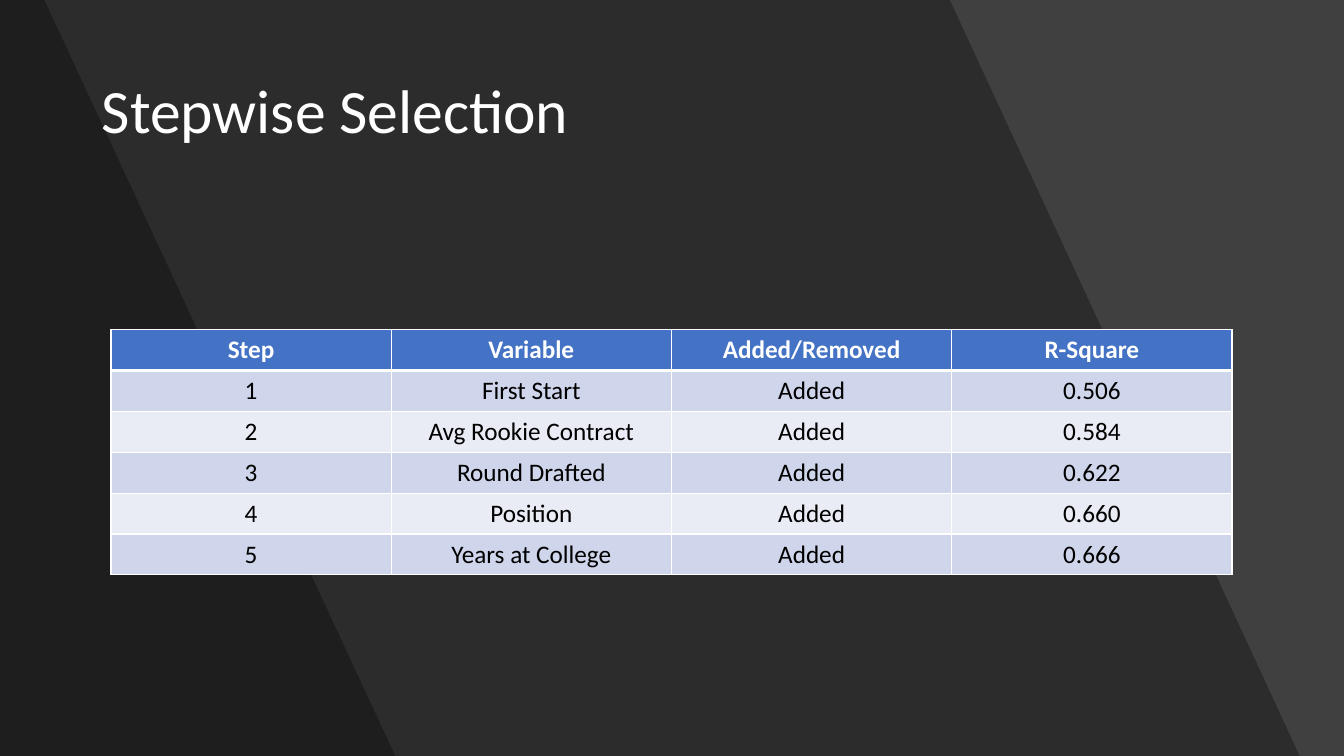
from dataclasses import dataclass

from lxml import etree
from pptx import Presentation
from pptx import util as u
from pptx.dml.color import RGBColor
from pptx.enum import text
from pptx.oxml import ns

FONT = "Calibri"
HUES = {
    "back": "404040",
    "shade": "000000",
    "ink": "000000",
    "white": "FFFFFF",
    "head": "4472C4",
    "odd": "CFD5EA",
    "even": "E9EBF5",
}
WIDE, HIGH = 13.33, 7.5
ROWS = [
    ("Step", "Variable", "Added/Removed", "R-Square"),
    ("1", "First Start", "Added", "0.506"),
    ("2", "Avg Rookie Contract", "Added", "0.584"),
    ("3", "Round Drafted", "Added", "0.622"),
    ("4", "Position", "Added", "0.660"),
    ("5", "Years at College", "Added", "0.666"),
]


@dataclass
class Band:
    top: float
    base: float


@dataclass
class Look:
    fill: str
    ink: str
    bold: bool


BANDS = [Band(9.42, 12.89), Band(0.44, 3.92)]
HEAD = Look("head", "white", True)
BODY = [Look("odd", "ink", False), Look("even", "ink", False)]


def hue(name: str) -> RGBColor:
    return RGBColor.from_string(HUES[name])


def add_run(para, words: str, size: float, ink: str, bold: bool = False) -> None:
    run = para.add_run()
    run.text = words
    run.font.name = FONT
    run.font.size = u.Pt(size)
    run.font.bold = bold
    run.font.color.rgb = hue(ink)


def add_band(slide, band: Band) -> None:
    pen = slide.shapes.build_freeform(0, 0, scale=u.Inches(1) / 100)
    spots = [(band.top, 0), (band.base, HIGH), (0, HIGH)]
    pen.add_line_segments([(x * 100, y * 100) for x, y in spots], close=True)
    shape = pen.convert_to_shape()
    shape.shadow.inherit = False
    shape.line.fill.background()
    shape.fill.solid()
    shape.fill.fore_color.rgb = hue("shade")
    tint = shape.fill._xPr.find(".//" + ns.qn("a:srgbClr"))
    etree.SubElement(tint, ns.qn("a:alpha"), val="30000")
    slide.shapes.title.element.addprevious(shape.element)


def set_edge(cell, side: str, points: float, place: int) -> None:
    line = etree.Element(ns.qn("a:ln" + side), w=str(u.Pt(points)))
    fill = etree.SubElement(line, ns.qn("a:solidFill"))
    etree.SubElement(fill, ns.qn("a:srgbClr"), val=HUES["white"])
    cell._tc.get_or_add_tcPr().insert(place, line)


def fill_cell(cell, words: str, row: int) -> None:
    look = BODY[(row - 1) % 2] if row else HEAD
    cell.fill.solid()
    cell.fill.fore_color.rgb = hue(look.fill)
    heavy = {(0, "B"), (1, "T")}
    for place, side in enumerate("LRTB"):
        set_edge(cell, side, 3 if (row, side) in heavy else 1, place)
    para = cell.text_frame.paragraphs[0]
    para.alignment = text.PP_ALIGN.CENTER
    add_run(para, words, 18, look.ink, look.bold)


def add_grid(slide) -> None:
    frame = slide.shapes.add_table(
        len(ROWS), len(ROWS[0]),
        u.Inches(1.1), u.Inches(3.27), u.Inches(11.12), u.Inches(2.43),
    )
    for row, words in enumerate(ROWS):
        for col, word in enumerate(words):
            fill_cell(frame.table.cell(row, col), word, row)


def set_title(slide) -> None:
    title = slide.shapes.title
    title.left, title.top = u.Inches(0.91), u.Inches(0.4)
    title.width, title.height = u.Inches(11.51), u.Inches(1.45)
    frame = title.text_frame
    frame.auto_size = text.MSO_AUTO_SIZE.NONE
    frame.vertical_anchor = text.MSO_ANCHOR.MIDDLE
    para = frame.paragraphs[0]
    para.alignment = text.PP_ALIGN.LEFT
    para.line_spacing = 0.9
    add_run(para, "Stepwise Selection", 44, "white")


def main() -> None:
    deck = Presentation()
    deck.slide_width, deck.slide_height = u.Inches(WIDE), u.Inches(HIGH)
    slide = deck.slides.add_slide(deck.slide_layouts[5])
    slide.background.fill.solid()
    slide.background.fill.fore_color.rgb = hue("back")
    for band in BANDS:
        add_band(slide, band)
    set_title(slide)
    add_grid(slide)
    deck.save("out.pptx")


main()
